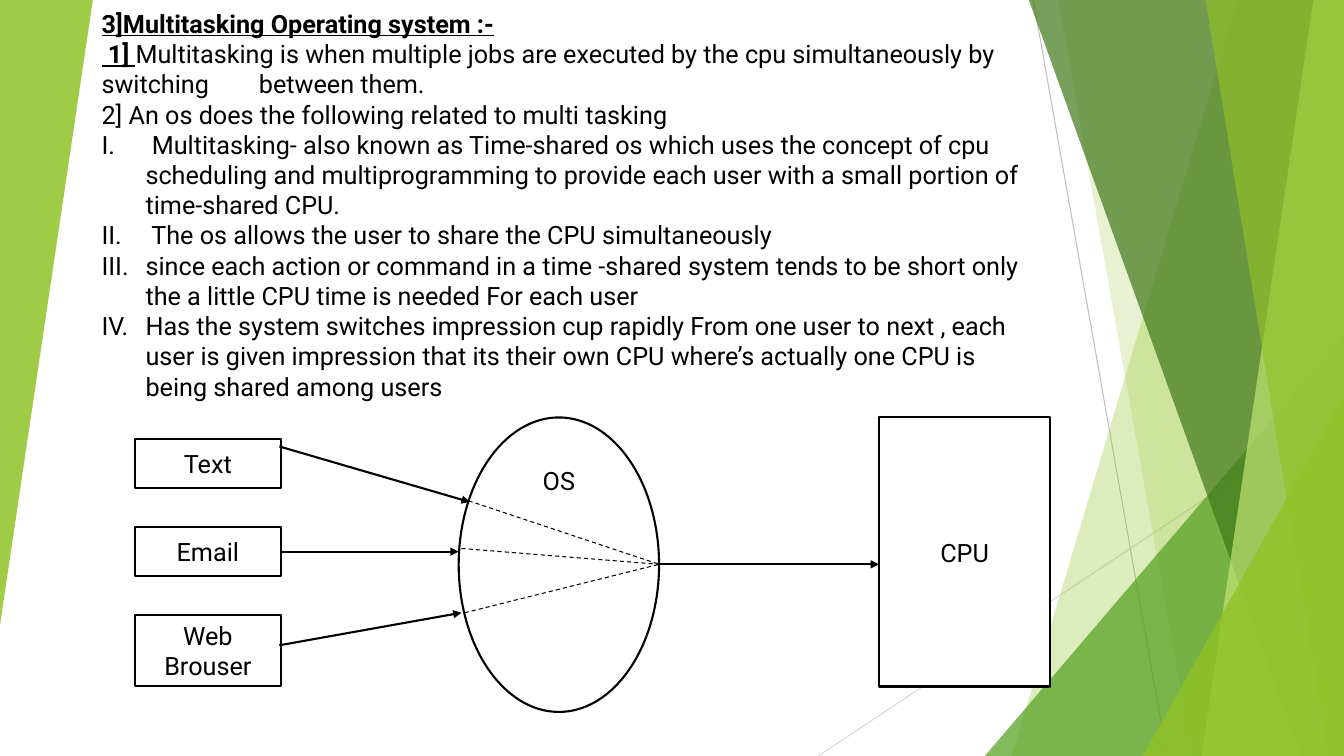
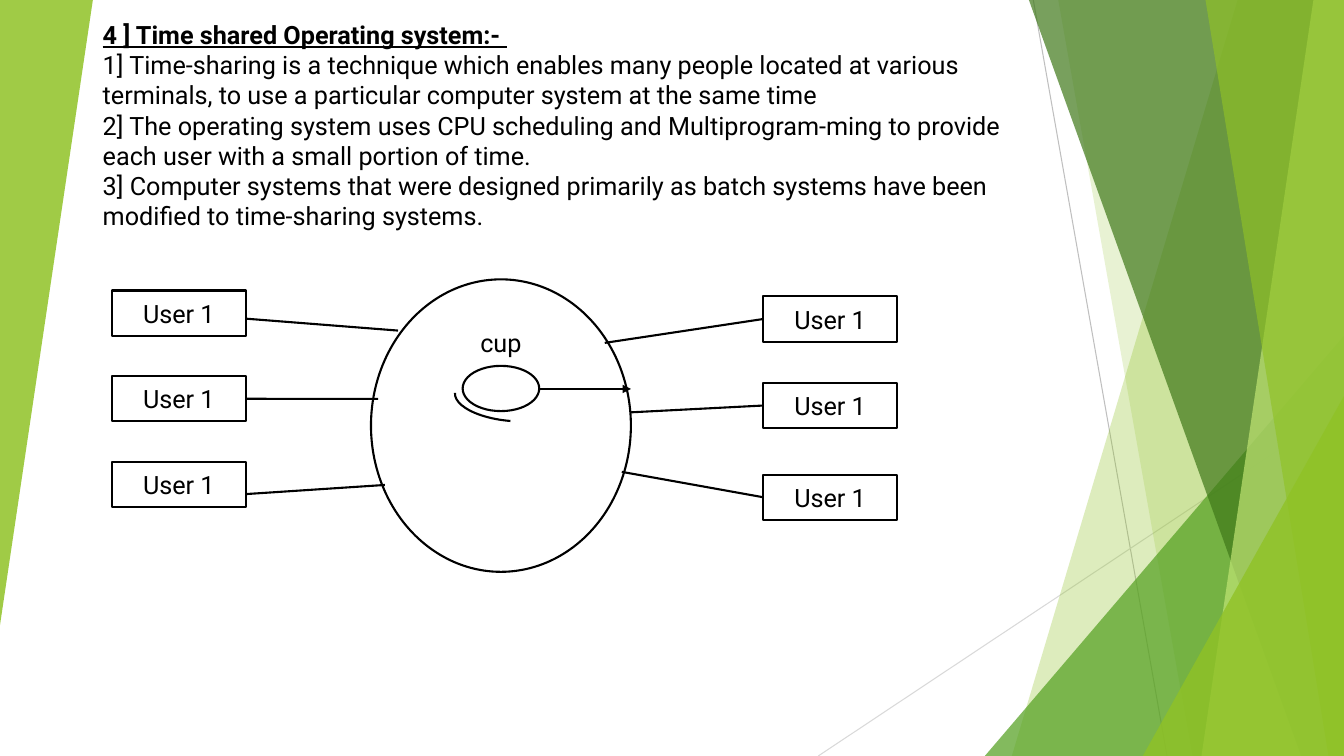
from lxml.etree import SubElement
from pptx import Presentation
from pptx.dml.color import RGBColor
from pptx.enum.dml import MSO_LINE
from pptx.enum.shapes import MSO_CONNECTOR, MSO_SHAPE
from pptx.enum.text import MSO_ANCHOR, PP_ALIGN
from pptx.oxml.ns import qn
from pptx.util import Cm, Pt

WIDTH, HEIGHT = 33.87, 19.05
RIGHT_SIDE, LEFT_SIDE = 3, 1


class Deck:
    colours = {
        "ink": "000000", "paper": "FFFFFF", "grey": "BFBFBF", "pale_grey": "D9D9D9",
        "green": "90C226", "mid_green": "54A021", "dark_green": "3F7819", "lime": "C0E474",
    }
    font_name = "Roboto"
    font_size = Pt(18)

    def __init__(self):
        self.presentation = Presentation()
        self.presentation.slide_width = Cm(WIDTH)
        self.presentation.slide_height = Cm(HEIGHT)
        self.slide = None

    def colour(self, name):
        return RGBColor.from_string(self.colours[name])

    def new_slide(self):
        self.slide = self.presentation.slides.add_slide(self.presentation.slide_layouts[6])
        self.line((26.04, 0), (29.41, HEIGHT), "grey", 0.75)
        self.line((WIDTH, 10.24), (20.62, HEIGHT), "pale_grey", 0.75)
        self.panel(31.19, 25.5, "green", 30)
        self.panel(26.67, 30.05, "green", 20)
        self.wedge(24.82, 8.46, WIDTH - 24.82, HEIGHT - 8.46, "mid_green", 72)
        self.panel(25.93, 32.79, "dark_green", 70)
        self.panel(33.1, 30.28, "lime", 70)
        self.panel(30.38, 33.48, "green", 65)
        self.wedge(28.8, 9.98, WIDTH - 28.8, HEIGHT - 9.98, "green", 80)
        self.wedge(0, 0, 2.34, 15.75, "green", 85, 180)

    def paint(self, shape, colour, opacity):
        shape.shadow.inherit = False
        shape.line.fill.background()
        shape.fill.solid()
        shape.fill.fore_color.rgb = self.colour(colour)
        for element in shape.fill._xPr.iter(qn("a:srgbClr")):
            SubElement(element, qn("a:alpha")).set("val", str(opacity * 1000))

    def panel(self, top_x, bottom_x, colour, opacity):
        builder = self.slide.shapes.build_freeform(Cm(top_x), 0)
        corners = [(WIDTH, 0), (WIDTH, HEIGHT), (bottom_x, HEIGHT)]
        builder.add_line_segments([(Cm(x), Cm(y)) for x, y in corners], close=True)
        self.paint(builder.convert_to_shape(), colour, opacity)

    def wedge(self, left, top, width, height, colour, opacity, rotation=0):
        shape = self.slide.shapes.add_shape(
            MSO_SHAPE.ISOSCELES_TRIANGLE, Cm(left), Cm(top), Cm(width), Cm(height))
        shape.adjustments[0] = 1
        shape.rotation = rotation
        self.paint(shape, colour, opacity)

    def style(self, paragraph, heading=False):
        font = paragraph.font
        font.name = self.font_name
        font.size = self.font_size
        font.color.rgb = self.colour("ink")
        if heading:
            font.bold = True
            font.underline = True

    def text(self, left, top, width, height, heading, lines, numbered=()):
        box = self.slide.shapes.add_textbox(Cm(left), Cm(top), Cm(width), Cm(height))
        frame = box.text_frame
        frame.word_wrap = True
        paragraph = frame.paragraphs[0]
        paragraph.add_run().text = heading
        self.style(paragraph, heading=True)
        for lead, line in lines:
            paragraph = frame.add_paragraph()
            if "\t" in line:
                stops = SubElement(paragraph._p.get_or_add_pPr(), qn("a:tabLst"))
                stop = SubElement(stops, qn("a:tab"))
                stop.set("pos", str(Cm(3.81)))
                stop.set("algn", "l")
            if lead:
                run = paragraph.add_run()
                run.text = lead
                run.font.bold = True
                run.font.underline = True
            paragraph.add_run().text = line
            self.style(paragraph)
        for line in numbered:
            paragraph = frame.add_paragraph()
            properties = paragraph._p.get_or_add_pPr()
            properties.set("marL", str(Cm(1.11)))
            properties.set("indent", str(Cm(-1.11)))
            SubElement(properties, qn("a:buAutoNum")).set("type", "romanUcPeriod")
            paragraph.add_run().text = line
            self.style(paragraph)

    def shape(self, kind, left, top, width, height, label="", anchor=MSO_ANCHOR.MIDDLE):
        shape = self.slide.shapes.add_shape(kind, Cm(left), Cm(top), Cm(width), Cm(height))
        shape.shadow.inherit = False
        shape.fill.solid()
        shape.fill.fore_color.rgb = self.colour("paper")
        shape.line.color.rgb = self.colour("ink")
        shape.line.width = Pt(1.5)
        if label:
            frame = shape.text_frame
            frame.word_wrap = True
            frame.vertical_anchor = anchor
            paragraph = frame.paragraphs[0]
            paragraph.text = label
            paragraph.alignment = PP_ALIGN.CENTER
            self.style(paragraph)
        return shape

    def box(self, left, top, width, height, label):
        return self.shape(MSO_SHAPE.RECTANGLE, left, top, width, height, label)

    def oval(self, left, top, width, height, label=""):
        return self.shape(MSO_SHAPE.OVAL, left, top, width, height, label, MSO_ANCHOR.TOP)

    def arc(self, left, top, width, height, rotation):
        shape = self.shape(MSO_SHAPE.ARC, left, top, width, height)
        shape.fill.background()
        shape.rotation = rotation

    def line(self, start, end, colour="ink", weight=1.5, arrow=False, dashed=False, joined=None):
        points = [Cm(value) for value in (*start, *end)]
        connector = self.slide.shapes.add_connector(MSO_CONNECTOR.STRAIGHT, *points)
        connector.line.color.rgb = self.colour(colour)
        connector.line.width = Pt(weight)
        if dashed:
            connector.line.dash_style = MSO_LINE.DASH
        if arrow:
            SubElement(connector.line._get_or_add_ln(), qn("a:tailEnd")).set("type", "triangle")
        SubElement(connector._element.spPr, qn("a:effectLst"))
        if joined:
            connector.begin_connect(*joined)


def multitasking_slide(deck):
    deck.new_slide()
    deck.text(
        2.31, 0.08, 24.16, 10.26, "3]Multitasking Operating system :-",
        [(" 1] ", "Multitasking is when multiple jobs are executed by the cpu "
                  "simultaneously by switching\t between them."),
         ("", "2] An os does the following related to multi tasking")],
        [" Multitasking- also known as Time-shared os which uses the concept of cpu scheduling "
         "and multiprogramming to provide each user with a small portion of time-shared CPU.",
         " The os allows the user to share the CPU simultaneously",
         "since each action or command in a time -shared system tends to be short only "
         "the a little CPU time is needed For each user",
         "Has the system switches impression cup rapidly From one user to next , each user is "
         "given impression that its their own CPU where’s actually one CPU is being shared "
         "among users"])
    programs = [("Text", 1.24), ("Email", 1.24), ("Web Brouser", 1.8)]
    boxes = [deck.box(3.4, 11.07 + 2.21 * row, 3.68, height, label)
             for row, (label, height) in enumerate(programs)]
    deck.box(22.15, 10.52, 4.32, 6.78, "CPU")
    deck.oval(11.56, 10.52, 5.05, 7.42, "OS")
    exit_point = (16.61, 14.22)
    deck.line((7.04, 11.25), (11.84, 12.65), arrow=True)
    deck.line((7.08, 13.9), (11.56, 13.9), arrow=True, joined=(boxes[1], RIGHT_SIDE))
    deck.line((7.04, 16.26), (11.63, 15.44), arrow=True)
    for entry_point in [(11.81, 12.62), (11.71, 15.44), (11.63, 13.82)]:
        deck.line(entry_point, exit_point, weight=0.75, dashed=True)
    deck.line(exit_point, (22.15, 14.22), arrow=True)


def time_sharing_slide(deck):
    deck.new_slide()
    deck.text(
        2.34, 0.36, 24.23, 5.64, "4 ] Time shared Operating system:- ",
        [("", "1] Time-sharing is a technique which enables many people located at various "
              "terminals, to use a particular computer system at the same time"),
         ("", "2] The operating system uses CPU scheduling and Multiprogram-ming to provide "
              "each user with a small portion of time."),
         ("", "3] Computer systems that were designed primarily as batch systems have been "
              "modified to time-sharing systems.")])
    left_users = [deck.box(2.82, 7.32 + 2.16 * row, 3.38, 1.14, "User 1") for row in range(3)]
    right_users = [deck.box(19.23, top, 3.38, 1.14, "User 1") for top in (7.47, 9.65, 11.96)]
    deck.oval(9.35, 7.04, 6.55, 7.37, "cup")
    deck.oval(11.66, 9.22, 1.93, 1.14)
    deck.arc(11.46, 9.42, 2.9, 1.19, 184.6)
    deck.line((13.59, 9.8), (15.9, 9.8), arrow=True)
    for user, end in zip(right_users, [(15.24, 8.64), (15.9, 10.39), (15.67, 11.89)]):
        deck.line(end, end, joined=(user, LEFT_SIDE))
    deck.line((6.2, 8.03), (10.03, 8.33))
    deck.line((6.2, 10.05), (9.53, 10.05), joined=(left_users[1], RIGHT_SIDE))
    deck.line((6.2, 12.45), (9.7, 12.22))


def main():
    deck = Deck()
    multitasking_slide(deck)
    time_sharing_slide(deck)
    deck.presentation.save("out.pptx")


if __name__ == "__main__":
    main()
